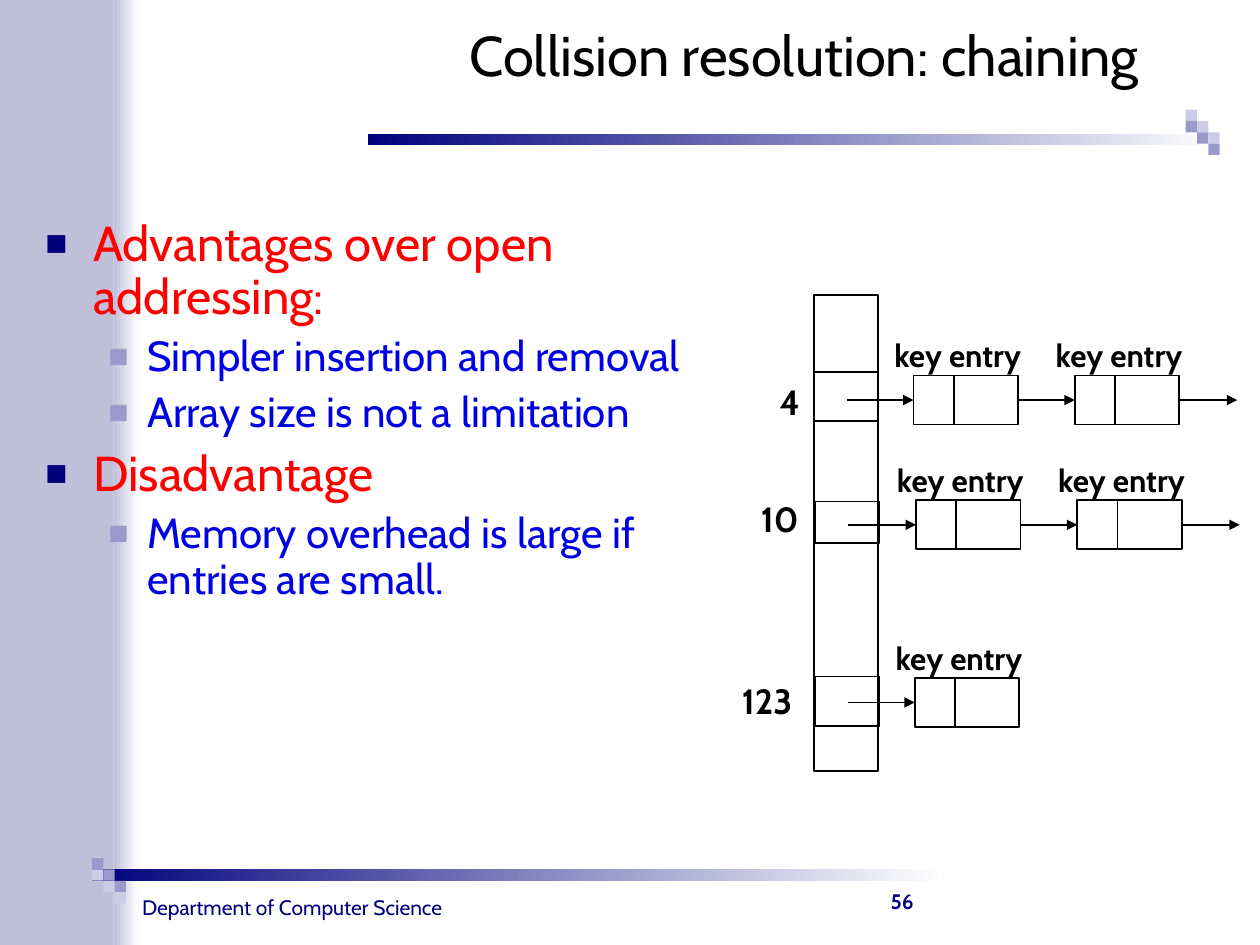
from lxml import etree
from pptx import Presentation
from pptx import util as u
from pptx.dml.color import RGBColor
from pptx.enum import shapes, text
from pptx.oxml.ns import qn

PX = 9144  # one px is 1/100 inch
FONT = "Cabin"
BLACK, NAVY, LILAC, PALE, WHITE = "000000", "00007D", "9999CC", "CCCCE6", "FFFFFF"
LEFT, RIGHT = 1, 3  # connection sites of a rectangle


def colour(value):
    return RGBColor.from_string(value)


def add_box(left, top, width, height, fills=()):
    """Rectangle: no fill gives a black outline, one is solid, two a gradient."""
    box = page.shapes.add_shape(shapes.MSO_SHAPE.RECTANGLE, left * PX, top * PX, width * PX, height * PX)
    box.shadow.inherit = False
    if not fills:
        box.fill.background()
        box.line.color.rgb = colour(BLACK)
        box.line.width = u.Pt(1)
        return box
    box.line.fill.background()
    if len(fills) == 1:
        box.fill.solid()
        box.fill.fore_color.rgb = colour(fills[0])
    else:
        box.fill.gradient()
        box.fill.gradient_angle = 0
        for stop, position, value in zip(box.fill.gradient_stops, (0, 1), fills):
            stop.position = position
            stop.color.rgb = colour(value)
    return box


deck = Presentation()
deck.slide_width, deck.slide_height = 1000 * PX, 750 * PX
page = deck.slides.add_slide(deck.slide_layouts[1])
title, body = page.placeholders

# Side band, then the two fading bars with their little squares
add_box(90, 0, 20, 750, ("BFBFDA", WHITE))
add_box(0, 0, 90, 750, ("BFBFDA",))
SQUARE = 9
steps = [(0, 0), (0, 1), (1, 1), (1, 2), (2, 2), (2, 3)]
for bar_left, bar_top, corner_left, corner_top, tints in [
    (73, 690, 73, 681, (LILAC, PALE, LILAC, PALE, LILAC, PALE)),
    (292, 106, 941, 87, (PALE, LILAC, PALE, LILAC, PALE, LILAC)),
]:
    add_box(bar_left, bar_top, 676, SQUARE, (NAVY, WHITE))
    for (column, row), tint in zip(steps, tints):
        add_box(corner_left + column * SQUARE, corner_top + row * SQUARE, SQUARE, SQUARE, (tint,))

# Title and list stand in front of the side band
for holder, place, anchor in [
    (title, (8, 8, 906, 67), text.MSO_ANCHOR.BOTTOM),
    (body, (26, 169, 536, 456), text.MSO_ANCHOR.TOP),
]:
    page.shapes._spTree.append(holder._element)
    holder.left, holder.top, holder.width, holder.height = [n * PX for n in place]
    holder.text_frame.vertical_anchor = anchor
    holder.text_frame.auto_size = text.MSO_AUTO_SIZE.NONE

para = title.text_frame.paragraphs[0]
para.alignment = text.PP_ALIGN.RIGHT
span = para.add_run()
span.text = "Collision resolution: chaining"
span.font.name, span.font.size = FONT, u.Pt(32)
span.font.color.rgb = colour(BLACK)

# Per level: indent, hanging, size, space before, text, bullet, bullet percent
levels = [
    (38, 38, 28, 7, "FF0000", NAVY, 75),
    (81, 31, 24, 6, "0000E5", LILAC, 80),
]
points = [
    (0, "Advantages over open addressing:"),
    (1, "Simpler insertion and removal"),
    (1, "Array size is not a limitation"),
    (0, "Disadvantage"),
    (1, "Memory overhead is large if entries are small."),
]
for index, (level, words) in enumerate(points):
    indent, hanging, size, before, ink, bullet, percent = levels[level]
    para = body.text_frame.add_paragraph() if index else body.text_frame.paragraphs[0]
    para.level = level
    props = para._p.get_or_add_pPr()
    props.set("marL", str(indent * PX))
    props.set("indent", str(-hanging * PX))
    tint = etree.SubElement(props, qn("a:buClr"))
    etree.SubElement(tint, qn("a:srgbClr"), val=bullet)
    etree.SubElement(props, qn("a:buSzPct"), val=str(percent * 1000))
    etree.SubElement(props, qn("a:buFont"), typeface="Arial")
    etree.SubElement(props, qn("a:buChar"), char="■")
    para.line_spacing = 0.9
    para.space_before = u.Pt(before if index else 0)
    span = para.add_run()
    span.text = words
    span.font.name, span.font.size = FONT, u.Pt(size)
    span.font.color.rgb = colour(ink)

# Labels: left, top, width, height, words, size, colour, bold, alignment
labels = [
    (91, 705, 282, 30, "Department of Computer Science", 12, NAVY, False, text.PP_ALIGN.CENTER),
    (345, 700, 390, 30, "56", 12, NAVY, True, text.PP_ALIGN.RIGHT),
]

# Hash table column, its used slots and the chain hanging from each slot
add_box(646, 234, 51, 378)
links = []  # start box, start x, end box, end x, y
dividers = []  # x, top
chains = [
    # slot left, top, height; key, its left, top; entry left, top; entries
    (646, 295, 39, "4", 609, 297, 725, 298, 2),
    (647, 398, 33, "10", 594, 390, 727, 397, 2),
    (647, 537, 39, "123", 579, 534, 726, 538, 1),
]
ENTRY_WIDTH, ENTRY_HEIGHT, ENTRY_STEP = 83, 39, 128
for slot_left, slot_top, slot_height, key, key_left, key_top, first, top, count in chains:
    add_box(slot_left, slot_top, 51, slot_height)
    labels.append((key_left, key_top, 646 - key_left, 44, key, 20, BLACK, True, text.PP_ALIGN.LEFT))
    middle = top + ENTRY_HEIGHT / 2
    previous, start = None, slot_left + 26
    for number in range(count):
        left = first + number * ENTRY_STEP
        entry = add_box(left, top, ENTRY_WIDTH, ENTRY_HEIGHT)
        labels.append((left - 25, top - 36, 138, 40, "key entry", 18, BLACK, True, text.PP_ALIGN.LEFT))
        links.append((previous, start, entry, left, middle))
        dividers.append((left + 32, top))
        previous, start = entry, left + ENTRY_WIDTH
    if count == 2:
        links.append((previous, start, None, start + 46, middle))

# Lines: plain dividers and arrows between the entries
lines = [(None, x, top, None, x, top + ENTRY_HEIGHT, False) for x, top in dividers]
lines += [(source, x, y, target, end, y, True) for source, x, target, end, y in links]
for source, x1, y1, target, x2, y2, arrow in lines:
    line = page.shapes.add_connector(
        shapes.MSO_CONNECTOR.STRAIGHT, *[int(n * PX) for n in (x1, y1, x2, y2)])
    if source is not None:
        line.begin_connect(source, RIGHT)
    if target is not None:
        line.end_connect(target, LEFT)
    line.line.color.rgb = colour(BLACK)
    line.line.width = u.Pt(1)
    if arrow:
        etree.SubElement(line.line._get_or_add_ln(), qn("a:tailEnd"), type="triangle")
    etree.SubElement(line._element.spPr, qn("a:effectLst"))

# All labels
for left, top, width, height, words, size, ink, bold, align in labels:
    box = page.shapes.add_textbox(left * PX, top * PX, width * PX, height * PX)
    box.text_frame.word_wrap = False
    para = box.text_frame.paragraphs[0]
    para.alignment = align
    span = para.add_run()
    span.text = words
    span.font.name, span.font.size, span.font.bold = FONT, u.Pt(size), bold
    span.font.color.rgb = colour(ink)

deck.save("out.pptx")
